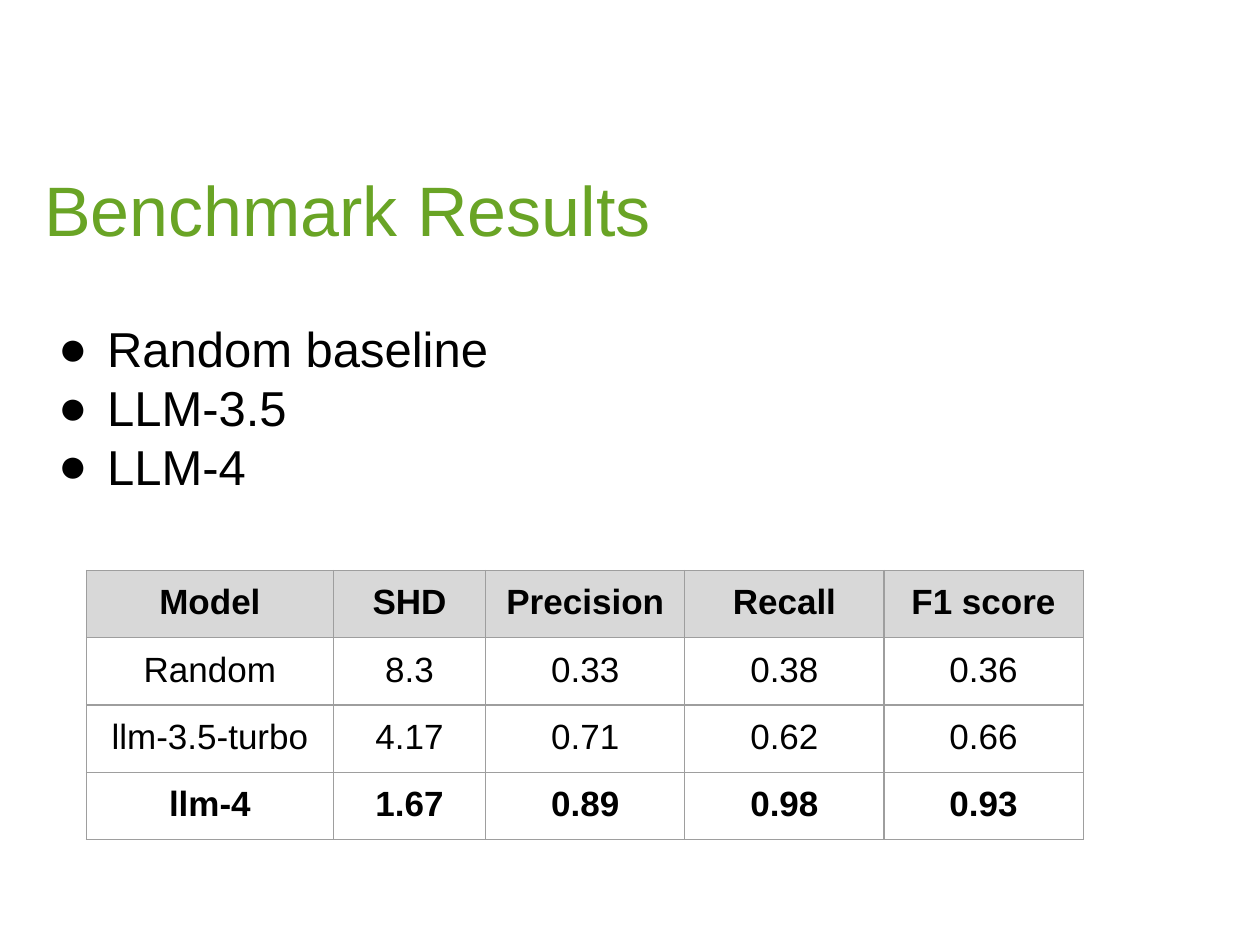
from dataclasses import dataclass

import pptx
import pptx.dml.color
import pptx.enum.text
import pptx.oxml
import pptx.oxml.ns
import pptx.util
from pptx.slide import Slide
from pptx.table import _Cell

Pt = pptx.util.Pt


@dataclass(frozen=True)
class Theme:
    font: str = "Arial"
    text: str = "000000"
    title: str = "69A425"
    header_fill: str = "D8D8D8"
    border: str = "9E9E9E"
    border_width: float = 0.75
    title_size: float = 40
    body_size: float = 28
    table_size: float = 20


@dataclass(frozen=True)
class TextBlock:
    left: float
    top: float
    width: float
    height: float
    lines: tuple[str, ...]
    size: float
    color: str
    margin: float
    hanging: float
    space_before: float
    bullet: str = ""


@dataclass(frozen=True)
class ResultRow:
    values: tuple[str, ...]
    bold: bool = False
    fill: str = ""


THEME = Theme()

TEXT_BLOCKS = (
    TextBlock(25.2, 182.2, 617.8, 334.8,
              ("Random baseline", "LLM-3.5", "LLM-4"),
              THEME.body_size, THEME.text, 36, 28, 2, "●"),
    TextBlock(25.2, 95, 617.8, 73.4, ("Benchmark Results",),
              THEME.title_size, THEME.title, 27, 27, 3.5),
)

COLUMN_WIDTHS = (141.1, 87.1, 113.8, 113.8, 113.8)
ROW_HEIGHT = 36.7
TABLE_LEFT, TABLE_TOP = 49.4, 326
RESULTS = (
    ResultRow(("Model", "SHD", "Precision", "Recall", "F1 score"), True, THEME.header_fill),
    ResultRow(("Random", "8.3", "0.33", "0.38", "0.36")),
    ResultRow(("llm-3.5-turbo", "4.17", "0.71", "0.62", "0.66")),
    ResultRow(("llm-4", "1.67", "0.89", "0.98", "0.93"), True),
)


def set_attributes(target: object, values: dict[str, object]) -> None:
    for name, value in values.items():
        setattr(target, name, value)


def margins(size: float) -> dict[str, object]:
    return {f"margin_{side}": Pt(size) for side in ("left", "top", "right", "bottom")}


def add_run(paragraph, text: str, size: float, color: str, bold: bool = False) -> None:
    run = paragraph.add_run()
    run.text = text
    set_attributes(run.font, {"name": THEME.font, "size": Pt(size), "bold": bold})
    run.font.color.rgb = pptx.dml.color.RGBColor.from_string(color)


def add_xml(parent, xml: str) -> None:
    namespace = pptx.oxml.ns.nsdecls("a")
    parent.append(pptx.oxml.parse_xml(xml.replace(" ", f" {namespace} ", 1)))


def add_text(slide: Slide, block: TextBlock) -> None:
    box = slide.shapes.add_textbox(
        Pt(block.left), Pt(block.top), Pt(block.width), Pt(block.height))
    frame = box.text_frame
    set_attributes(frame, {"word_wrap": True, **margins(0)})
    for index, line in enumerate(block.lines):
        paragraph = frame.add_paragraph() if index else frame.paragraphs[0]
        paragraph.space_before = Pt(0 if index else block.space_before)
        properties = paragraph._p.get_or_add_pPr()
        properties.set("marL", str(Pt(block.margin)))
        properties.set("indent", str(-Pt(block.hanging)))
        if block.bullet:
            add_xml(properties, f'<a:buClr ><a:srgbClr val="{block.color}"/></a:buClr>')
            add_xml(properties, f'<a:buFont typeface="{THEME.font}"/>')
            add_xml(properties, f'<a:buChar char="{block.bullet}"/>')
        add_run(paragraph, line, block.size, block.color)


def fill_cell(cell: _Cell, text: str, row: ResultRow) -> None:
    set_attributes(cell, margins(7.2))
    paragraph = cell.text_frame.paragraphs[0]
    paragraph.alignment = pptx.enum.text.PP_ALIGN.CENTER
    add_run(paragraph, text, THEME.table_size, THEME.text, row.bold)
    # Borders come before the fill in the cell properties
    properties = cell._tc.get_or_add_tcPr()
    for side in "LRTB":
        add_xml(properties,
                f'<a:ln{side} w="{Pt(THEME.border_width)}"><a:solidFill>'
                f'<a:srgbClr val="{THEME.border}"/></a:solidFill></a:ln{side}>')
    if row.fill:
        cell.fill.solid()
        cell.fill.fore_color.rgb = pptx.dml.color.RGBColor.from_string(row.fill)
    else:
        cell.fill.background()


def add_results(slide: Slide) -> None:
    table = slide.shapes.add_table(
        len(RESULTS), len(COLUMN_WIDTHS), Pt(TABLE_LEFT), Pt(TABLE_TOP),
        Pt(sum(COLUMN_WIDTHS)), Pt(ROW_HEIGHT * len(RESULTS))).table
    set_attributes(table, {"first_row": False, "horz_banding": False})
    for column, width in zip(table.columns, COLUMN_WIDTHS):
        column.width = Pt(width)
    for table_row, result in zip(table.rows, RESULTS):
        table_row.height = Pt(ROW_HEIGHT)
        for cell, text in zip(table_row.cells, result.values):
            fill_cell(cell, text, result)


# Presentation and blank slide
presentation = pptx.Presentation()
set_attributes(presentation, {"slide_width": Pt(720), "slide_height": Pt(540)})
slide = presentation.slides.add_slide(presentation.slide_layouts[6])

# Model list and title
for text_block in TEXT_BLOCKS:
    add_text(slide, text_block)

# Benchmark table
add_results(slide)

presentation.save("out.pptx")
